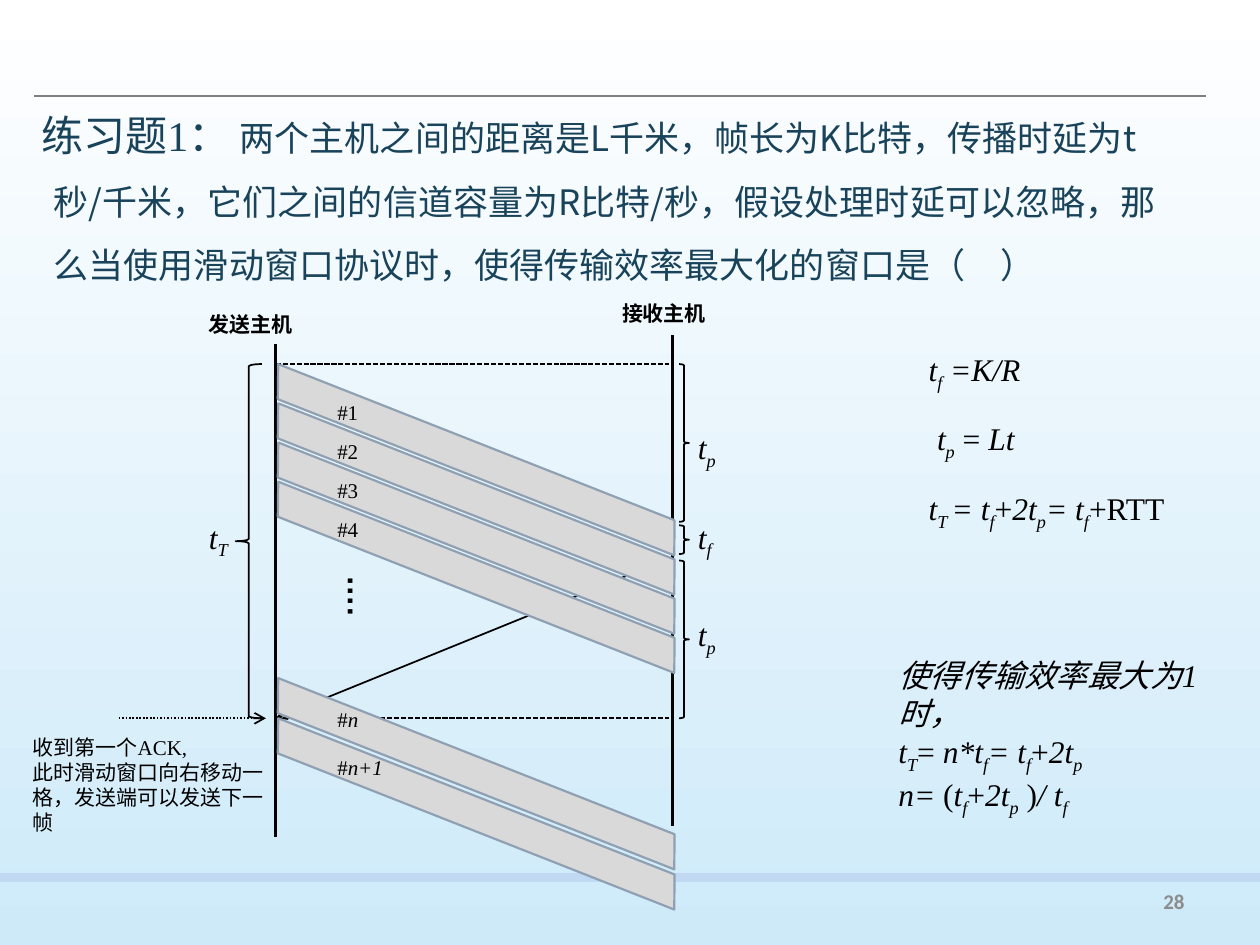
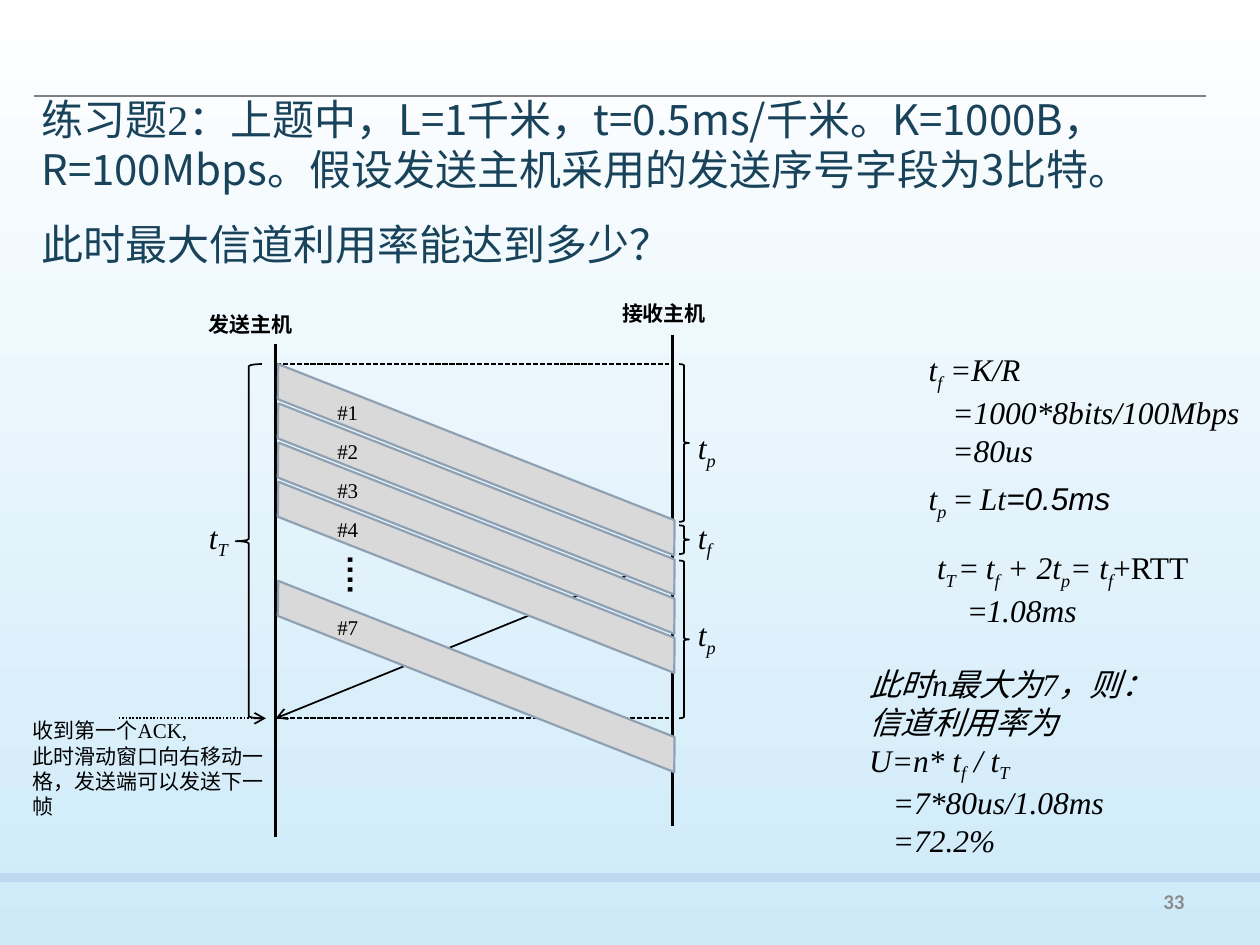
"""Two sliding-window exercise slides with frame timing diagrams."""
from dataclasses import dataclass

import pptx
import pptx.dml.color
import pptx.enum.dml
import pptx.enum.shapes
import pptx.enum.text
import pptx.oxml.ns
import pptx.oxml.xmlchemy
import pptx.util
from lxml import etree

Cm = pptx.util.Cm
Pt = pptx.util.Pt
SHAPES = pptx.enum.shapes.MSO_SHAPE
DASHES = pptx.enum.dml.MSO_LINE
qn = pptx.oxml.ns.qn


@dataclass(frozen=True)
class Theme:
    ink: str = "000000"
    heading: str = "19435A"
    frame: str = "D9D9D9"
    frame_edge: str = "8EA0B2"
    rule: str = "808080"
    band: str = "C0D8F1"
    number: str = "8C8C8C"
    sky_top: str = "FFFFFF"
    sky_bottom: str = "CEEAF9"
    serif: str = "Times New Roman"
    sans: str = "Arial"
    chinese: str = "Noto Sans CJK SC"
    footer: str = "Calibri"
    heading_size: int = 24
    question_size: int = 20
    formula_size: int = 18
    label_size: int = 12


THEME = Theme()


def term(subscript):
    return [("t", "i"), (subscript, "s")]


TF, TP, TT = term("f"), term("p"), term("T")
PLUS = [("+", "")]
TF_PLUS_2TP = TF + PLUS + [("2t", "i"), ("p", "s")]
TT_EQUALS = [("t", "i"), ("T ", "s")]

FRAME_LEFT, FRAME_WIDTH, FRAME_HEIGHT = 5.18, 8.84, 0.66
FIRST_FRAME, FIRST_LABEL, FRAME_PITCH = 8.94, 7.92, 0.79
SENDER_X, RECEIVER_X, DASH_END = 5.56, 13.56, 13.49
SEND_Y, ACK_SENT_Y, ACK_Y = 7.34, 11.23, 14.48
LABEL_X, FORMULA_HEIGHT = 6.55, 1.02

HOSTS = [("发送主机", 3.96, 6.15, SENDER_X, 6.93, 16.87),
         ("接收主机", 12.29, 5.94, RECEIVER_X, 6.76, 16.66)]
DELAYS = [(TP, SEND_Y, 3.18, 8.51, 0.91),
          (TF, 10.59, 0.58, 10.31, 0.81),
          (TP, 11.3, 3.18, 12.27, 0.91)]
ACK_NOTE = [[("收到第一个ACK,", "")],
            [("此时滑动窗口向右移动一格，发送端可以发送下一帧", "")]]

EXERCISES = [
    {
        "number": "28", "top": 1.57, "hanging": 0.25, "line_spacing": 1.5,
        "question": [
            [("练习题1", THEME.serif, THEME.heading_size),
             ("： ", THEME.chinese, THEME.heading_size),
             ("两个主机之间的距离是L千米，帧长为K比特，传播时延为t秒/千米，"
              "它们之间的信道容量为R比特/秒，假设处理时延可以忽略，"
              "那么当使用滑动窗口协议时，使得传输效率最大化的窗口是（　）",
              THEME.chinese, THEME.question_size)]],
        "late_frames": [(15.27, 14.12, [("#", ""), ("n", "i")]),
                        (16.08, 15.09, [("#", ""), ("n+1", "i")])],
        "dots_top": 11.51, "note_top": 14.68,
        "formulas": [
            (18.47, 6.93, 2.41, False, [(0, TF + [(" =K/R", "i")])]),
            (18.64, 8.33, 2.11, False, [(0, TP + [(" = ", ""), ("Lt", "i")])]),
            (18.47, 9.73, 5.41, False,
             [(0, TT_EQUALS + [("= ", "i")] + TF_PLUS_2TP + [("= ", "i")]
               + TF + [("+RTT", "")])]),
            (17.86, 13.11, 6.86, True,
             [(0, [("使得传输效率最大为1时，", "i")]),
              (0, TT + [("= ", ""), ("n*", "i")] + TF + [("= ", "i")]
               + TF_PLUS_2TP),
              (0, [("n= ", "i"), ("(", "")] + TF_PLUS_2TP
               + [(" )", ""), ("/ ", "i")] + TF)]),
        ],
    },
    {
        "number": "33", "top": 1.75, "hanging": 0, "line_spacing": 1.0,
        "question": [
            [("练习题2", THEME.serif, THEME.heading_size),
             ("：上题中，L=1千米，t=0.5ms/千米。K=1000B，R=100Mbps。"
              "假设发送主机采用的发送序号字段为3比特。",
              THEME.chinese, THEME.heading_size)],
            [("此时最大信道利用率能达到多少？", THEME.chinese, THEME.heading_size)]],
        "late_frames": [(13.31, 12.27, [("#7", "")])],
        "dots_top": 11.07, "note_top": 14.35,
        "formulas": [
            (18.47, 6.93, 6.83, False,
             [(0, TF + [(" =K/R", "i")]),
              (0.48, [("=1000*8bits/100Mbps", "i")]),
              (0.48, [("=80us", "i")])]),
            (18.47, 9.53, 4.32, False,
             [(0, TP + [(" = ", ""), ("Lt", "i"), ("=0.5ms", "a")])]),
            (18.64, 10.92, 5.84, False,
             [(0, TT_EQUALS + [("= ", "")] + TF + [(" + ", "i"), ("2t", "i"),
               ("p", "s"), ("= ", "i")] + TF + [("+RTT", "")]),
              (0.64, [("=", ""), ("1.08ms", "i")])]),
            (17.27, 13.28, 6.27, True,
             [(0, [("此时n最大为7，则：", "i")]),
              (0, [("信道利用率为", "i")]),
              (0, [("U=n* ", "i")] + TF + [(" / ", "i")] + TT),
              (0.48, [("=7*80us/1.08ms", "i")]),
              (0.48, [("=72.2%", "i")])]),
        ],
    },
]


def rgb(value):
    return pptx.dml.color.RGBColor.from_string(value)


def add_run(paragraph, text, font, size, color, bold=False, style=""):
    run = paragraph.add_run()
    run.text = text
    run.font.name = THEME.sans if style == "a" else font
    run.font.size = Pt(size)
    run.font.color.rgb = rgb(color)
    run.font.bold = bold
    run.font.italic = bool(style)
    properties = run._r.get_or_add_rPr()
    if style == "s":
        properties.set("baseline", "-25000")
    etree.SubElement(properties, qn("a:ea")).set("typeface", THEME.chinese)


def paragraphs_of(text_frame, count):
    return [text_frame.paragraphs[0]] + [text_frame.add_paragraph() for _ in range(count - 1)]


def set_indent(paragraph, margin, first_line=0):
    properties = paragraph._p.get_or_add_pPr()
    properties.set("marL", str(Cm(margin)))
    properties.set("indent", str(Cm(first_line)))
    return properties


def add_text(slide, left, top, width, height, lines, size=THEME.label_size,
             font=THEME.serif, color=THEME.ink, bold=False, wrap=True):
    shape = slide.shapes.add_textbox(Cm(left), Cm(top), Cm(width), Cm(height))
    text_frame = shape.text_frame
    text_frame.word_wrap = wrap
    for paragraph, (margin, runs) in zip(paragraphs_of(text_frame, len(lines)), lines):
        if margin:
            set_indent(paragraph, margin)
        for text, style in runs:
            add_run(paragraph, text, font, size, color, bold, style)
    return shape


def add_line(slide, x1, y1, x2, y2, width=1, color=THEME.ink, dash=None, arrow=False):
    connector = slide.shapes.add_connector(
        pptx.enum.shapes.MSO_CONNECTOR.STRAIGHT, Cm(x1), Cm(y1), Cm(x2), Cm(y2))
    connector.line.width = Pt(width)
    connector.line.color.rgb = rgb(color)
    if dash:
        connector.line.dash_style = dash
    if arrow:
        etree.SubElement(connector.line._get_or_add_ln(), qn("a:tailEnd")).set("type", "arrow")
    etree.SubElement(connector._element.spPr, qn("a:effectLst"))


def add_shape(slide, kind, left, top, width, height, fill=None, edge=None, edge_width=1):
    shape = slide.shapes.add_shape(kind, Cm(left), Cm(top), Cm(width), Cm(height))
    shape.shadow.inherit = False
    if fill:
        shape.fill.solid()
        shape.fill.fore_color.rgb = rgb(fill)
    else:
        shape.fill.background()
    if edge:
        shape.line.color.rgb = rgb(edge)
        shape.line.width = Pt(edge_width)
    else:
        shape.line.fill.background()
    return shape


def add_frame(slide, top, label_top, label):
    frame = add_shape(slide, SHAPES.PARALLELOGRAM, FRAME_LEFT, top, FRAME_WIDTH,
                      FRAME_HEIGHT, THEME.frame, THEME.frame_edge, 1.25)
    frame.adjustments[0] = 0.38
    frame.rotation = 21.5
    frame._element.spPr.find(qn("a:xfrm")).set("flipV", "1")
    width = 1.6 if label[-1][0] == "n+1" else 1.2
    add_text(slide, LABEL_X, label_top, width, 0.76, [(0, label)])


def add_question(slide, exercise):
    body = slide.placeholders[1]
    body.left, body.top, body.width, body.height = (
        Cm(0.58), Cm(exercise["top"]), Cm(23.62), Cm(3))
    text_frame = body.text_frame
    text_frame.auto_size = pptx.enum.text.MSO_AUTO_SIZE.NONE
    hanging = exercise["hanging"]
    lines = exercise["question"]
    for index, paragraph in enumerate(paragraphs_of(text_frame, len(lines))):
        properties = set_indent(paragraph, hanging, -hanging)
        etree.SubElement(properties, qn("a:buNone"))
        paragraph.line_spacing = exercise["line_spacing"]
        paragraph.space_before = Pt(12 if index else 0)
        paragraph.space_after = Pt(2)
        for text, font, size in lines[index]:
            add_run(paragraph, text, font, size, THEME.heading)


def add_backdrop(slide, number):
    title = slide.shapes.title._element
    title.getparent().remove(title)
    add_shape(slide, SHAPES.RECTANGLE, 0, 17.6, 25.4, 0.18, THEME.band)
    add_line(slide, 0.69, 1.93, 24.31, 1.93, 1.25, THEME.rule)
    footer = add_text(slide, 18.21, 17.65, 5.92, 1.02, [(0, [(number, "")])],
                      font=THEME.footer, color=THEME.number, bold=True)
    footer.text_frame.vertical_anchor = pptx.enum.text.MSO_ANCHOR.MIDDLE
    footer.text_frame.paragraphs[0].alignment = pptx.enum.text.PP_ALIGN.RIGHT


def add_diagram(slide, exercise):
    for name, left, top, x, start, end in HOSTS:
        add_line(slide, x, start, x, end, 1.5)
        add_text(slide, left, top, 2.39, 0.76, [(0, [(name, "")])],
                 font=THEME.sans, bold=True)
    for y in (SEND_Y, ACK_Y):
        add_line(slide, SENDER_X, y, DASH_END, y, dash=DASHES.SQUARE_DOT)
    add_line(slide, RECEIVER_X, ACK_SENT_Y, SENDER_X, ACK_Y, arrow=True)
    add_line(slide, 2.39, ACK_Y, 5.36, ACK_Y, dash=DASHES.ROUND_DOT, arrow=True)
    for symbol, top, height, label_top, width in DELAYS:
        brace = add_shape(slide, SHAPES.RIGHT_BRACE, 13.69, top, 0.2, height, edge=THEME.ink)
        brace.adjustments[0] = 0.15
        add_text(slide, 13.82, label_top, width, FORMULA_HEIGHT, [(0, symbol)],
                 THEME.formula_size, wrap=False)
    add_shape(slide, SHAPES.LEFT_BRACE, 4.75, SEND_Y, 0.53, ACK_Y - SEND_Y, edge=THEME.ink)
    add_text(slide, 3.96, 10.31, 0.91, FORMULA_HEIGHT, [(0, TT)],
             THEME.formula_size, wrap=False)
    frames = [(FIRST_FRAME + index * FRAME_PITCH, FIRST_LABEL + index * FRAME_PITCH,
               [(f"#{index + 1}", "")]) for index in range(4)]
    for frame in frames + exercise["late_frames"]:
        add_frame(slide, *frame)
    dots = add_text(slide, 6.6, exercise["dots_top"], 1.32, FORMULA_HEIGHT,
                    [(0, [("….", "")])], THEME.formula_size, THEME.sans,
                    bold=True, wrap=False)
    dots.rotation = 90
    add_text(slide, 0.41, exercise["note_top"], 5.2, 2.31,
             [(0, runs) for runs in ACK_NOTE])


def main():
    presentation = pptx.Presentation()
    presentation.slide_width, presentation.slide_height = Cm(25.4), Cm(19.05)
    sky = presentation.slide_master.background.fill
    sky.gradient()
    sky.gradient_angle = 270
    for stop, color, position in zip(sky.gradient_stops,
                                     (THEME.sky_top, THEME.sky_bottom), (0, 1)):
        stop.color.rgb = rgb(color)
        stop.position = position
    for exercise in EXERCISES:
        slide = presentation.slides.add_slide(presentation.slide_layouts[1])
        add_backdrop(slide, exercise["number"])
        add_question(slide, exercise)
        add_diagram(slide, exercise)
        for left, top, width, wrap, lines in exercise["formulas"]:
            add_text(slide, left, top, width, FORMULA_HEIGHT * len(lines), lines,
                     THEME.formula_size, wrap=wrap)
    presentation.save("out.pptx")


if __name__ == "__main__":
    main()
